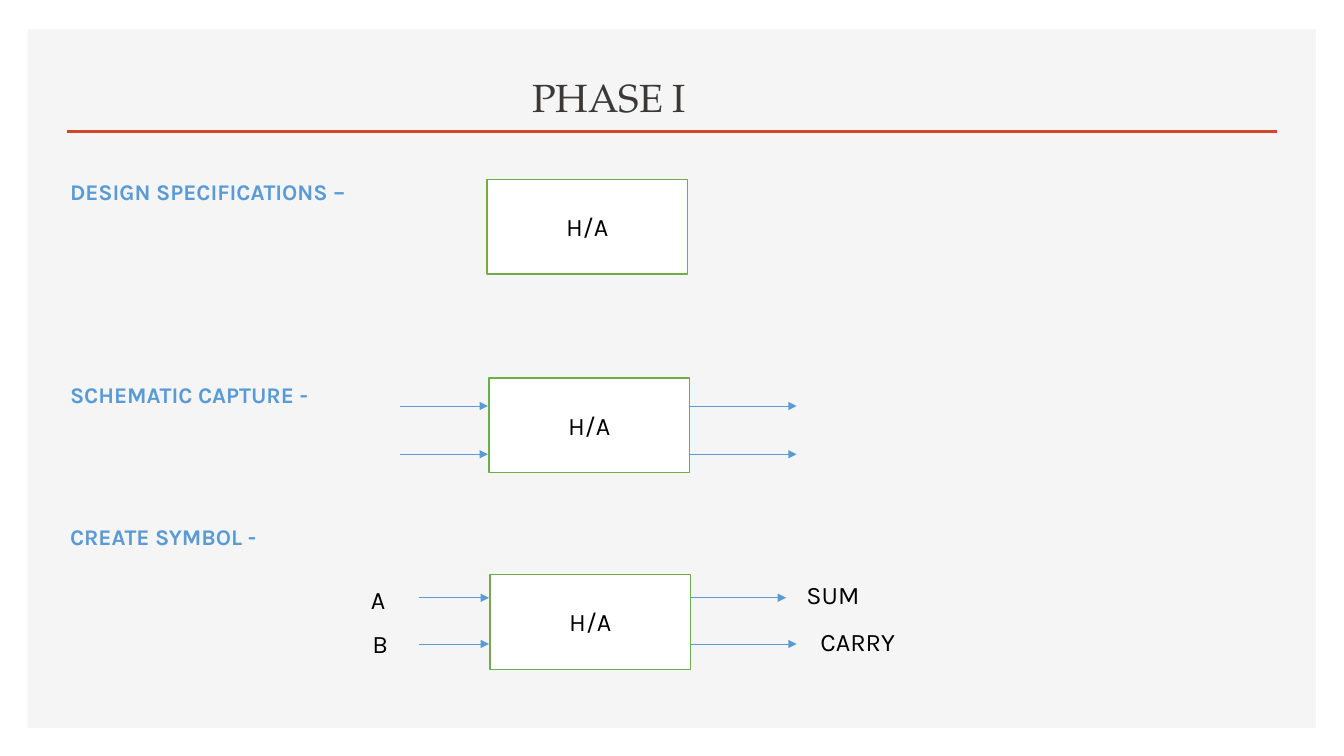
from pptx import Presentation
from pptx.util import Pt
from pptx.dml.color import RGBColor
from pptx.enum.shapes import MSO_SHAPE as Shape, MSO_CONNECTOR as Link
from pptx.enum.text import PP_ALIGN as Align, MSO_ANCHOR as Anchor
from pptx.oxml.ns import qn
from lxml.etree import SubElement as add_sub

PANEL, RED, INK = "F5F5F5", "D24726", "3B3838"
BLUE, GREEN, BLACK, WHITE = "5B9BD5", "70AD47", "000000", "FFFFFF"


def paint(target, color):
    """Set a solid colour on a fill."""
    target.solid()
    target.fore_color.rgb = RGBColor.from_string(color)


def write(frame, text, size=18, font="Karla", color=BLACK, bold=False,
          align=Align.LEFT, anchor=Anchor.MIDDLE, wrap=False):
    """Put one formatted line in a text frame without margins."""
    frame.margin_left = frame.margin_right = 0
    frame.margin_top = frame.margin_bottom = 0
    frame.word_wrap = wrap
    frame.vertical_anchor = anchor
    para = frame.paragraphs[0]
    para.alignment = align
    run = para.add_run()
    run.text = text
    run.font.size = Pt(size)
    run.font.name = font
    run.font.bold = bold
    paint(run.font.fill, color)


def label(slide, text, left, mid, width, height=28, **style):
    """Add a text box centred on the height mid."""
    box = slide.shapes.add_textbox(
        Pt(left), Pt(mid - height / 2), Pt(width), Pt(height))
    write(box.text_frame, text, **style)


def rect(slide, left, top, width, height, fill, line=None):
    """Add a flat rectangle and return it."""
    shape = slide.shapes.add_shape(
        Shape.RECTANGLE, Pt(left), Pt(top), Pt(width), Pt(height))
    shape.shadow.inherit = False
    paint(shape.fill, fill)
    if line:
        paint(shape.line.fill, line)
        shape.line.width = Pt(1)
    else:
        shape.line.fill.background()
    return shape


def rule(slide, start, end, y, color, width, arrow=False):
    """Draw a level line, with an arrowhead at its end if asked."""
    link = slide.shapes.add_connector(
        Link.STRAIGHT, Pt(start), Pt(y), Pt(end), Pt(y))
    paint(link.line.fill, color)
    link.line.width = Pt(width)
    if arrow:
        add_sub(link.line._get_or_add_ln(), qn("a:tailEnd"), type="triangle")
    add_sub(link._element.spPr, qn("a:effectLst"))


def adder(slide, left, top, wires=()):
    """Draw a half adder block; each wire is (y, start, end)."""
    width = 143.3
    block = rect(slide, left, top, width, 67.7, WHITE, GREEN)
    write(block.text_frame, "H/A", align=Align.CENTER, wrap=True)
    for y, start, end in wires:
        rule(slide, start, left - 0.7, y, BLUE, 0.5, arrow=True)
        rule(slide, left + width, end, y, BLUE, 0.5, arrow=True)


def main():
    """Build the slide and save it."""
    deck = Presentation()
    deck.slide_width, deck.slide_height = Pt(960), Pt(540)
    slide = deck.slides.add_slide(deck.slide_layouts[6])

    rect(slide, 20, 21, 920, 499, PANEL)
    rule(slide, 47.8, 912, 94, RED, 2)
    label(slide, "PHASE I", 380, 60.5, 400, height=50.4, size=28,
          font="TeX Gyre Pagella", color=INK, anchor=Anchor.BOTTOM)

    heads = [("DESIGN SPECIFICATIONS –", 137), ("SCHEMATIC CAPTURE -", 282),
             ("CREATE SYMBOL -", 383.5)]
    for text, mid in heads:
        label(slide, text, 50, mid, 220, size=16, color=BLUE, bold=True)

    adder(slide, 347.8, 128.2)
    adder(slide, 349.2, 270, [(290, 286, 569), (324.5, 286, 569)])
    adder(slide, 350, 410.4, [(427, 299.5, 561.5), (460, 299.5, 569)])

    pins = [("A", 265, 428, 16), ("B", 266, 459.5, 16),
            ("SUM", 576, 424.5, 40), ("CARRY", 586, 458, 56)]
    for text, left, mid, width in pins:
        label(slide, text, left, mid, width)

    deck.save("out.pptx")


main()
